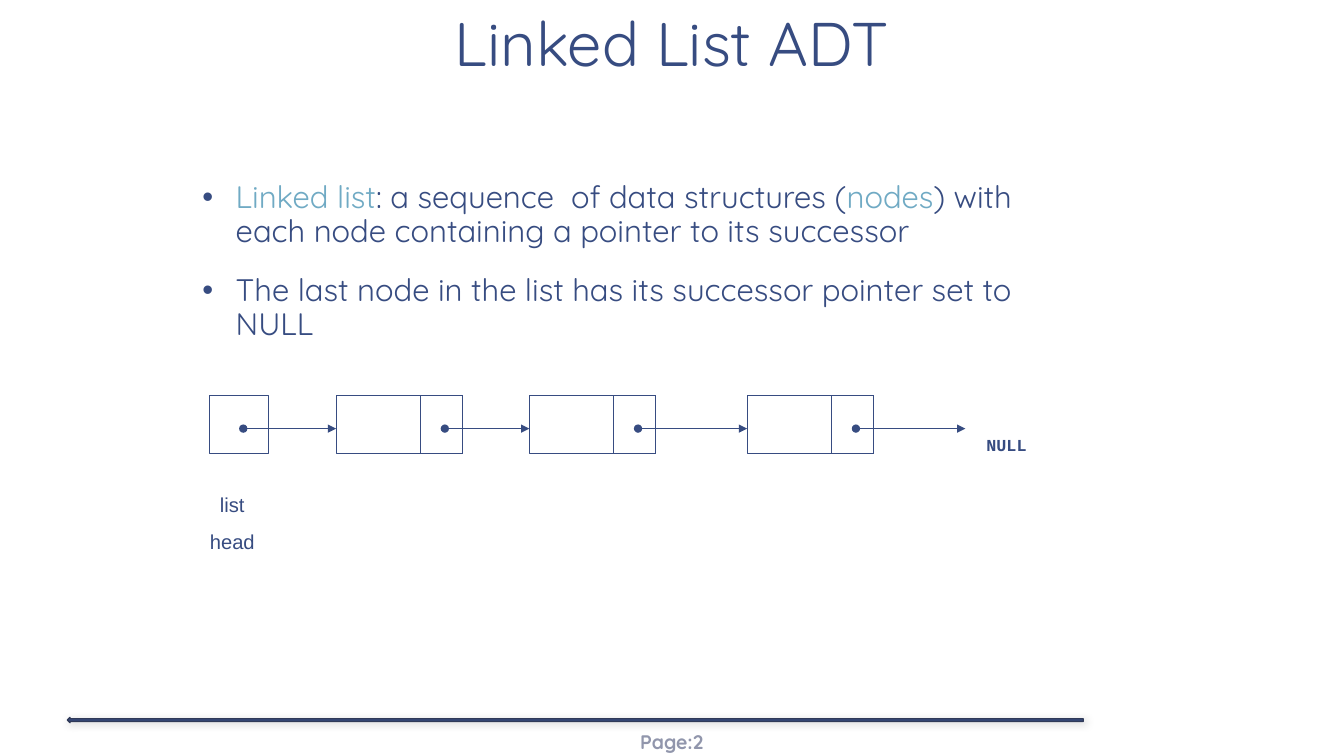
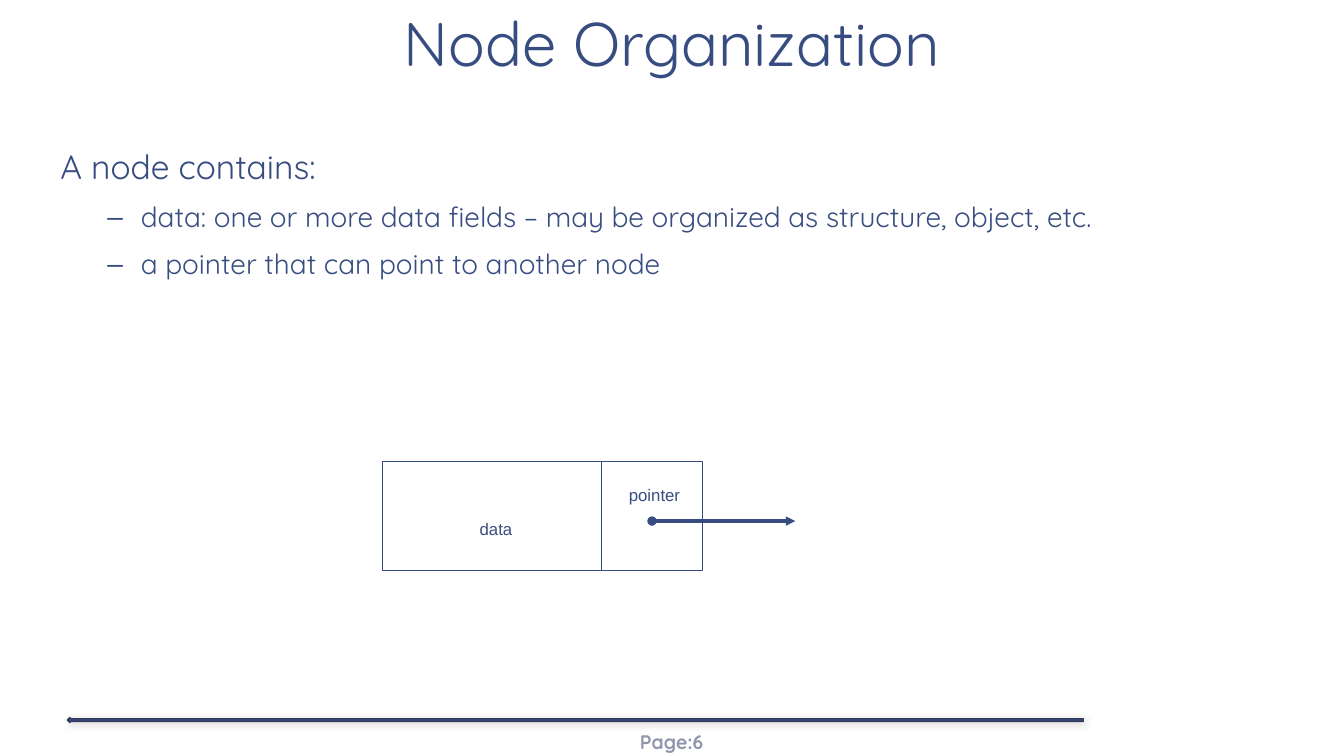
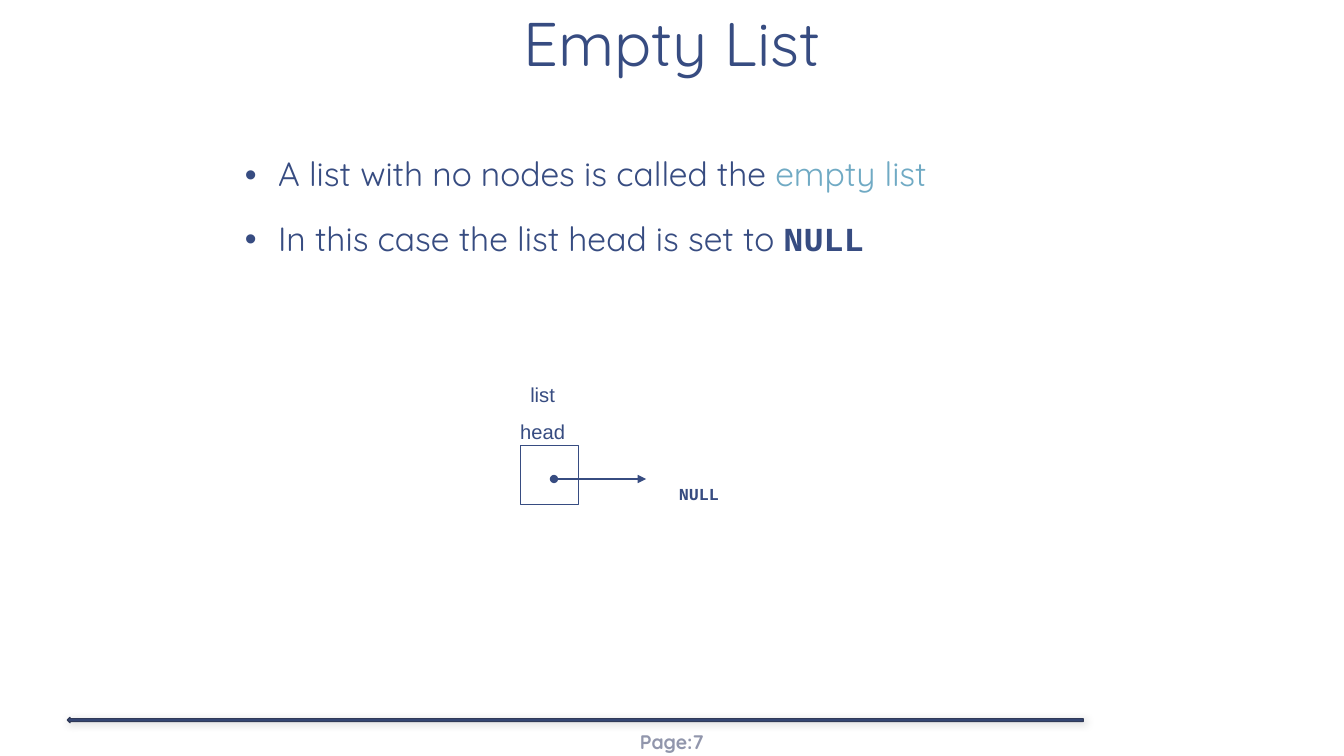
from dataclasses import dataclass

from lxml import etree
from pptx import Presentation
from pptx.dml.color import RGBColor
from pptx.enum.shapes import MSO_CONNECTOR, MSO_SHAPE
from pptx.enum.text import MSO_ANCHOR, PP_ALIGN
from pptx.oxml.ns import qn
from pptx.util import Cm, Pt

LEFT, MID = PP_ALIGN.LEFT, PP_ALIGN.CENTER
TOP, CENTRE, BASE = MSO_ANCHOR.TOP, MSO_ANCHOR.MIDDLE, MSO_ANCHOR.BOTTOM
RECT, ARROW = MSO_SHAPE.RECTANGLE, MSO_SHAPE.LEFT_ARROW
STRAIGHT = MSO_CONNECTOR.STRAIGHT


@dataclass(frozen=True)
class Theme:
    navy: str = "374C81"
    sky: str = "70AAC4"
    grey: str = "9196AC"
    edge: str = "303A58"
    font: str = "Quicksand"
    sans: str = "Arial"
    mono: str = "Courier New"
    title: float = 44
    body: float = 24
    small: float = 22.2
    sub: float = 20
    page: float = 14
    name: float = 14.4
    label: float = 12


T = Theme()
SIDE = 1.48    # height of a list cell
NODE = 3.18    # width of a node
CELL = 1.06    # width of its pointer part
DROP = 0.84    # arrow below the top of a cell
HANG = 0.84    # bullet indent
KEY = {"color": T.sky}
CODE = {"font": T.mono, "bold": True}


def rgb(code):
    return RGBColor.from_string(code)


def node(parent, tag, **attrs):
    """Add an XML child."""
    return etree.SubElement(parent, qn(tag), attrs)


# Text
def style(font, size, color, face, bold):
    font.size, font.bold, font.name = Pt(size), bold, face
    font.color.rgb = rgb(color)


def bullet(para, mark, left):
    props = para._p.get_or_add_pPr()
    props.set("marL", str(Cm(left)))
    props.set("indent", str(-Cm(HANG)))
    node(node(props, "a:buClr"), "a:srgbClr", val=T.navy)
    node(props, "a:buFont", typeface=T.sans)
    node(props, "a:buChar", char=mark)


def write(slide, box, paras, size=T.body, color=T.navy, font=T.font,
          bold=False, align=LEFT, anchor=TOP, pad=(0.25, 0.13), lead=1.0,
          gap=0, mark=None, left=HANG):
    """Write paragraphs; each is a list of runs or (runs, own format)."""
    shape = slide.shapes.add_textbox(*map(Cm, box))
    frame = shape.text_frame
    frame.word_wrap, frame.vertical_anchor = True, anchor
    frame.margin_left = frame.margin_right = Cm(pad[0])
    frame.margin_top = frame.margin_bottom = Cm(pad[1])
    for i, item in enumerate(paras):
        runs, own = item if isinstance(item, tuple) else (item, {})
        para = frame.paragraphs[0] if i == 0 else frame.add_paragraph()
        sign = own.get("mark", mark)
        if sign:
            bullet(para, sign, own.get("left", left))
        para.alignment, para.line_spacing = align, lead
        para.space_before = Pt(own.get("gap", gap) if i else 0)
        for part in runs:
            words, look = part if isinstance(part, tuple) else (part, {})
            run = para.add_run()
            run.text = words
            style(run.font, own.get("size", size), look.get("color", color),
                  look.get("font", font), look.get("bold", bold))


def label(slide, box, *lines, **look):
    look = {"size": T.label, "font": T.sans, **look}
    write(slide, box, [[line] for line in lines], align=MID, anchor=BASE,
          pad=(0, 0), **look)


# Diagram parts
def cell(slide, x, y, wide, high=SIDE):
    shape = slide.shapes.add_shape(RECT, *map(Cm, (x, y, wide, high)))
    shape.shadow.inherit = False
    shape.fill.background()
    shape.line.color.rgb = rgb(T.navy)
    shape.line.width = Pt(0.75)


def pair(slide, x, y, wide=NODE, part=CELL, high=SIDE):
    """A node: data with a pointer part on its right."""
    cell(slide, x, y, wide, high)
    cell(slide, x + wide - part, y, part, high)


def arrow(slide, start, end, y, weight=0.75):
    link = slide.shapes.add_connector(
        STRAIGHT, Cm(start), Cm(y), Cm(end), Cm(y))
    link.line.color.rgb = rgb(T.navy)
    link.line.width = Pt(weight)
    line = link.line._get_or_add_ln()
    node(line, "a:headEnd", type="oval")
    node(line, "a:tailEnd", type="triangle")
    node(link._element.spPr, "a:effectLst")


def null(slide, x, y):
    label(slide, (x, y, 2.21, 1.27), "NULL", **CODE)


def head(slide, x, y, end):
    """The list head and its arrow."""
    cell(slide, x, y, SIDE)
    arrow(slide, x + 0.85, end, y + DROP)


def caption(slide, x, y):
    label(slide, (x, y, 2.41, 2.08), "list", "head", size=T.name, gap=9)


# Shared frame
def rule(slide):
    bar = slide.shapes.add_shape(ARROW, *map(Cm, (1.7, 18.08, 25.6, 0.13)))
    bar.fill.solid()
    bar.fill.fore_color.rgb = rgb(T.navy)
    bar.line.color.rgb = rgb(T.edge)
    bar.line.width = Pt(1)
    bar.shadow.inherit = False
    glow = node(bar._element.spPr.find(qn("a:effectLst")), "a:outerShdw",
                blurRad=str(Pt(6)), dist=str(Pt(1)), dir="2700000")
    tint = node(glow, "a:srgbClr", val="000000")
    node(tint, "a:alpha", val="20000")


def start(deck, title, page):
    slide = deck.slides.add_slide(deck.slide_layouts[6])
    write(slide, (14.68, 18.34, 4.5, 0.71), [[f"Page:{page}"]], size=T.page,
          color=T.grey, bold=True, align=MID, anchor=CENTRE, pad=(0.1, 0.05))
    rule(slide)
    write(slide, (0, 0, 33.87, 2.18), [[title]], size=T.title, align=MID,
          anchor=BASE, pad=(0.33, 0.18), lead=0.85)
    return slide


# Slides
def linked(deck):
    slide = start(deck, "Linked List ADT", 2)
    write(slide, (4.85, 4.45, 22.02, 4.45), [
        [("Linked list", KEY), ": a sequence  of data structures (",
         ("nodes", KEY),
         ") with each node containing a pointer to its successor"],
        ["The last node in the list has its successor pointer set to NULL"],
    ], size=T.small, lead=0.9, gap=18.7, mark="•")
    y, spots, stop = 9.96, (8.47, 13.34, 18.83), 24.33
    head(slide, 5.28, y, spots[0])
    for x, end in zip(spots, (*spots[1:], stop)):
        pair(slide, x, y)
        arrow(slide, x + 2.74, end, y + DROP)
    null(slide, 24.26, 10.19)
    caption(slide, 4.65, 11.86)


def layout(deck):
    slide = start(deck, "Node Organization", 6)
    dash = {"mark": "–", "left": 2.03, "size": T.sub, "gap": 10.7}
    write(slide, (1.27, 3.61, 30.71, 4.5), [
        ["A node contains:"],
        (["data: one or more data fields – may be organized as structure, "
          "object, etc."], dash),
        (["a pointer that can point to another node"], dash),
    ], lead=0.95)
    pair(slide, 9.65, 11.63, wide=8.05, part=2.54, high=2.74)
    label(slide, (11.56, 12.5, 1.88, 1.09), "data")
    label(slide, (15.16, 11.63, 2.67, 1.09), "pointer")
    arrow(slide, 16.43, 20.04, 13.13, weight=2.25)


def empty(deck):
    slide = start(deck, "Empty List", 7)
    write(slide, (5.92, 3.81, 21.59, 5.08), [
        ["A list with no nodes is called the ", ("empty list", KEY)],
        ["In this case the list head is set to ", ("NULL", CODE)],
    ], lead=0.95, gap=18.7, mark="•")
    head(slide, 13.11, 11.23, 16.28)
    null(slide, 16.51, 11.43)
    caption(slide, 12.47, 9.09)


def main():
    deck = Presentation()
    deck.slide_width, deck.slide_height = Cm(33.87), Cm(19.05)
    for build in (linked, layout, empty):
        build(deck)
    deck.save("out.pptx")


if __name__ == "__main__":
    main()
